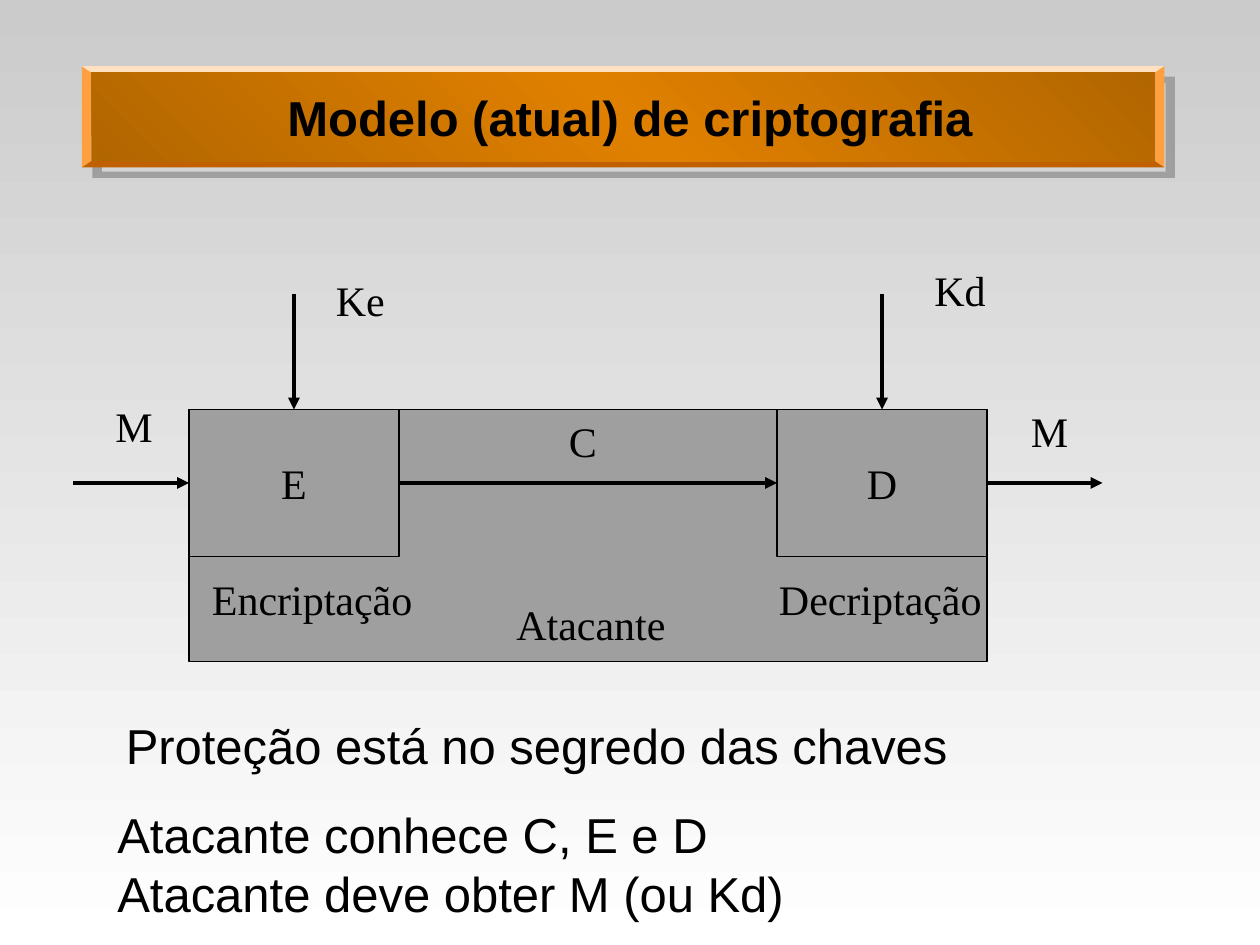
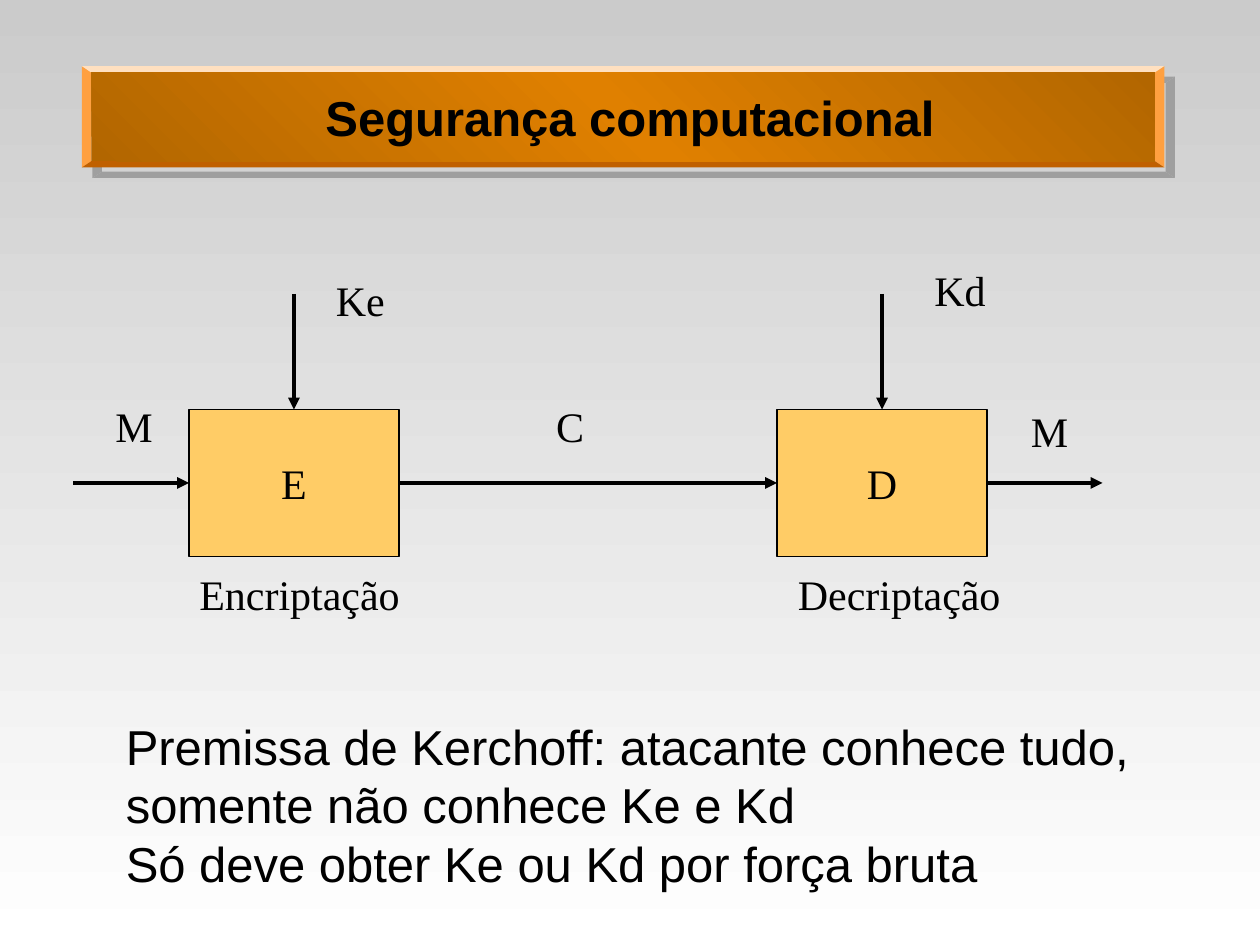
import copy
from dataclasses import dataclass

import pptx
import pptx.dml.color
import pptx.enum.shapes
import pptx.enum.text
import pptx.oxml
import pptx.oxml.ns
import pptx.util
from lxml import etree

COLUMNS, ROWS = 120, 90
CELL = pptx.util.Inches(10) // COLUMNS
TOP, LEFT, BOTTOM, RIGHT = range(4)
ALIGN = pptx.enum.text.PP_ALIGN
MIDDLE = pptx.enum.text.MSO_ANCHOR.MIDDLE
GROW = pptx.enum.text.MSO_AUTO_SIZE.SHAPE_TO_FIT_TEXT
RECTANGLE = pptx.enum.shapes.MSO_SHAPE.RECTANGLE
qn = pptx.oxml.ns.qn


@dataclass(frozen=True)
class Theme:
    ink: str = "000000"
    grey: str = "9F9F9F"
    amber: str = "FFCC66"
    bevel_light: str = "FFE0C0"
    bevel_side: str = "FFA040"
    bevel_dark: str = "C06000"
    banner: tuple = ("B26600", "E08000", "B26600")
    backdrop: tuple = ("CBCBCB", "FFFFFF")
    heading_font: str = "Arial"
    diagram_font: str = "Times New Roman"
    heading_size: int = 28
    diagram_size: int = 24
    outline: float = 1
    arrow: float = 2.25


THEME = Theme()


def cells(*lengths):
    """Convert grid cells to slide lengths."""
    return [pptx.util.Emu(round(length * CELL)) for length in lengths]


def rgb(code):
    return pptx.dml.color.RGBColor.from_string(code)


def paint_gradient(fill, owner, colours, angle):
    """Spread colours evenly; angle runs counter-clockwise."""
    fill.gradient()
    fill.gradient_angle = angle
    stop_list = owner.find(".//" + qn("a:gsLst"))
    while len(stop_list) < len(colours):
        stop_list.append(copy.deepcopy(stop_list[0]))
    for index, (stop, colour) in enumerate(zip(fill.gradient_stops, colours)):
        stop.color.rgb = rgb(colour)
        stop.position = index / (len(colours) - 1)


def format_text(frame, font, size, bold=False, align=ALIGN.LEFT, spacing=None):
    for paragraph in frame.paragraphs:
        paragraph.alignment = align
        if spacing:
            paragraph.line_spacing = spacing
        for run in paragraph.runs:
            run.font.name = font
            run.font.size = pptx.util.Pt(size)
            run.font.bold = bold
            run.font.color.rgb = rgb(THEME.ink)


def add_strip(slide, corners, colour):
    """Draw one side of the bevel with its hard shadow."""
    points = [cells(*corner) for corner in corners]
    outline = slide.shapes.build_freeform(*points[0])
    outline.add_line_segments(points[1:], close=True)
    strip = outline.convert_to_shape()
    strip.fill.solid()
    strip.fill.fore_color.rgb = rgb(colour)
    strip.line.fill.background()
    strip.shadow.inherit = False
    effects = strip._element.spPr.find(qn("a:effectLst"))
    shadow = etree.SubElement(effects, qn("a:outerShdw"), blurRad="0",
                              dist=str(pptx.util.Pt(8.5)), dir="2700000",
                              algn="ctr", rotWithShape="0")
    etree.SubElement(shadow, qn("a:srgbClr"), val=THEME.grey)
    return strip


def add_banner(slide):
    left, top, right, bottom = 7.8, 6.3, 110.9, 15.95
    bevel_x, bevel_y = 0.9, 0.6
    outer = [(left, top), (right, top), (right, bottom), (left, bottom)]
    x1, y1, x2, y2 = left + bevel_x, top + bevel_y, right - bevel_x, bottom - bevel_y
    inner = [(x1, y1), (x2, y1), (x2, y2), (x1, y2)]
    sides = [(3, THEME.bevel_side), (0, THEME.bevel_light),
             (1, THEME.bevel_side), (2, THEME.bevel_dark)]
    parts = []
    for start, colour in sides:
        end = (start + 1) % 4
        parts.append(add_strip(slide, [outer[start], inner[start], inner[end], outer[end]], colour))
    face = slide.shapes.add_shape(RECTANGLE, *cells(x1, y1, x2 - x1, y2 - y1))
    face.shadow.inherit = False
    face.line.fill.background()
    paint_gradient(face.fill, face._element, THEME.banner, 225)
    return parts + [face]


def prepare_layout(layout, slide):
    """Put backdrop, banner and title place on the layout; slide is where the banner is drawn."""
    paint_gradient(layout.background.fill, layout._element, THEME.backdrop, 270)
    tree = layout.shapes._spTree
    for position, part in enumerate(add_banner(slide), start=2):
        tree.insert(position, part._element)
    title = layout.placeholders[0]
    title.left, title.top, title.width, title.height = cells(13, 8, 94, 7)


def set_title(slide, words):
    frame = slide.shapes.title.text_frame
    frame.text = words
    frame.vertical_anchor = MIDDLE
    format_text(frame, THEME.heading_font, THEME.heading_size, True, ALIGN.CENTER, 0.9)


def add_box(slide, area, colour, letter=""):
    box = slide.shapes.add_shape(RECTANGLE, *cells(*area))
    box.shadow.inherit = False
    box.fill.solid()
    box.fill.fore_color.rgb = rgb(colour)
    box.line.color.rgb = rgb(THEME.ink)
    box.line.width = pptx.util.Pt(THEME.outline)
    if letter:
        box.text_frame.text = letter
        box.text_frame.word_wrap = False
        box.text_frame.vertical_anchor = MIDDLE
        format_text(box.text_frame, THEME.diagram_font, THEME.diagram_size, align=ALIGN.CENTER)
    return box


def add_arrow(slide, start, end, source=None, target=None):
    """source and target are (box, side) pairs that the ends join."""
    arrow = slide.shapes.add_connector(pptx.enum.shapes.MSO_CONNECTOR.STRAIGHT,
                                       *cells(*start, *end))
    if source:
        arrow.begin_connect(*source)
    if target:
        arrow.end_connect(*target)
    arrow.line.color.rgb = rgb(THEME.ink)
    arrow.line.width = pptx.util.Pt(THEME.arrow)
    properties = arrow._element.spPr
    etree.SubElement(properties.find(qn("a:ln")), qn("a:tailEnd"), type="triangle")
    etree.SubElement(properties, qn("a:effectLst"))


def add_label(slide, words, x, y, width, spacing=None):
    label = slide.shapes.add_textbox(*cells(x, y, width, 6))
    label.text_frame.text = words
    label.text_frame.word_wrap = False
    label.text_frame.auto_size = GROW
    format_text(label.text_frame, THEME.diagram_font, THEME.diagram_size, spacing=spacing)


def add_note(slide, lines, x, y, width):
    note = slide.shapes.add_textbox(*cells(x, y, width, 5.5 * len(lines) + 1.2))
    note.text_frame.text = "\n".join(lines)
    note.text_frame.word_wrap = True
    format_text(note.text_frame, THEME.heading_font, THEME.heading_size)


def add_cipher_diagram(slide, colour, cipher_at, encryption_at, decryption_at):
    top, width, height = 39, 20, 14
    encrypt_x, decrypt_x, reach = 18, 74, 11
    middle = top + height / 2
    encrypt = add_box(slide, (encrypt_x, top, width, height), colour, "E")
    decrypt = add_box(slide, (decrypt_x, top, width, height), colour, "D")

    exit_x = decrypt_x + width
    add_arrow(slide, (encrypt_x - reach, middle), (encrypt_x, middle), target=(encrypt, LEFT))
    add_arrow(slide, (encrypt_x + width, middle), (decrypt_x, middle),
              (encrypt, RIGHT), (decrypt, LEFT))
    add_arrow(slide, (exit_x, middle), (exit_x + reach, middle), source=(decrypt, RIGHT))
    for box, x in ((encrypt, encrypt_x), (decrypt, decrypt_x)):
        centre = x + width / 2
        add_arrow(slide, (centre, top - reach), (centre, top), target=(box, TOP))

    add_label(slide, "M", 9.8, 37.6, 5.9)
    add_label(slide, "C", *cipher_at, 5)
    add_label(slide, "M", 97, 38, 5.9)
    add_label(slide, "Encriptação", *encryption_at, 21.5)
    add_label(slide, "Decriptação", *decryption_at, 21.7)
    add_label(slide, "Ke", 30.8, 25.6, 7.1)
    add_label(slide, "Kd", 87.8, 24.6, 7.3)


def build_model_slide(slide):
    set_title(slide, "Modelo (atual) de criptografia")
    add_box(slide, (18, 39, 76, 24), THEME.grey)
    add_cipher_diagram(slide, THEME.grey, (53, 39), (19, 54), (73, 54))
    add_label(slide, "Atacante", 48, 57, 16.8, spacing=0.9)
    add_note(slide, ["Proteção está no segredo das chaves"], 10.8, 67.6, 92)
    add_note(slide, ["Atacante conhece C, E e D", "Atacante deve obter M (ou Kd)"], 10, 76, 102)


def build_security_slide(slide):
    set_title(slide, "Segurança computacional")
    add_cipher_diagram(slide, THEME.amber, (51.8, 37.6), (17.8, 53.6), (74.8, 53.6))
    add_note(slide, ["Premissa de Kerchoff: atacante conhece tudo,",
                     "somente não conhece Ke e Kd",
                     "Só deve obter Ke ou Kd por força bruta"], 10.8, 67.6, 101.2)


def main():
    deck = pptx.Presentation()
    deck.slide_width, deck.slide_height = cells(COLUMNS, ROWS)
    title_only = deck.slide_layouts[5]
    model = deck.slides.add_slide(title_only)
    prepare_layout(title_only, model)
    build_model_slide(model)
    build_security_slide(deck.slides.add_slide(title_only))
    deck.save("out.pptx")


if __name__ == "__main__":
    main()
